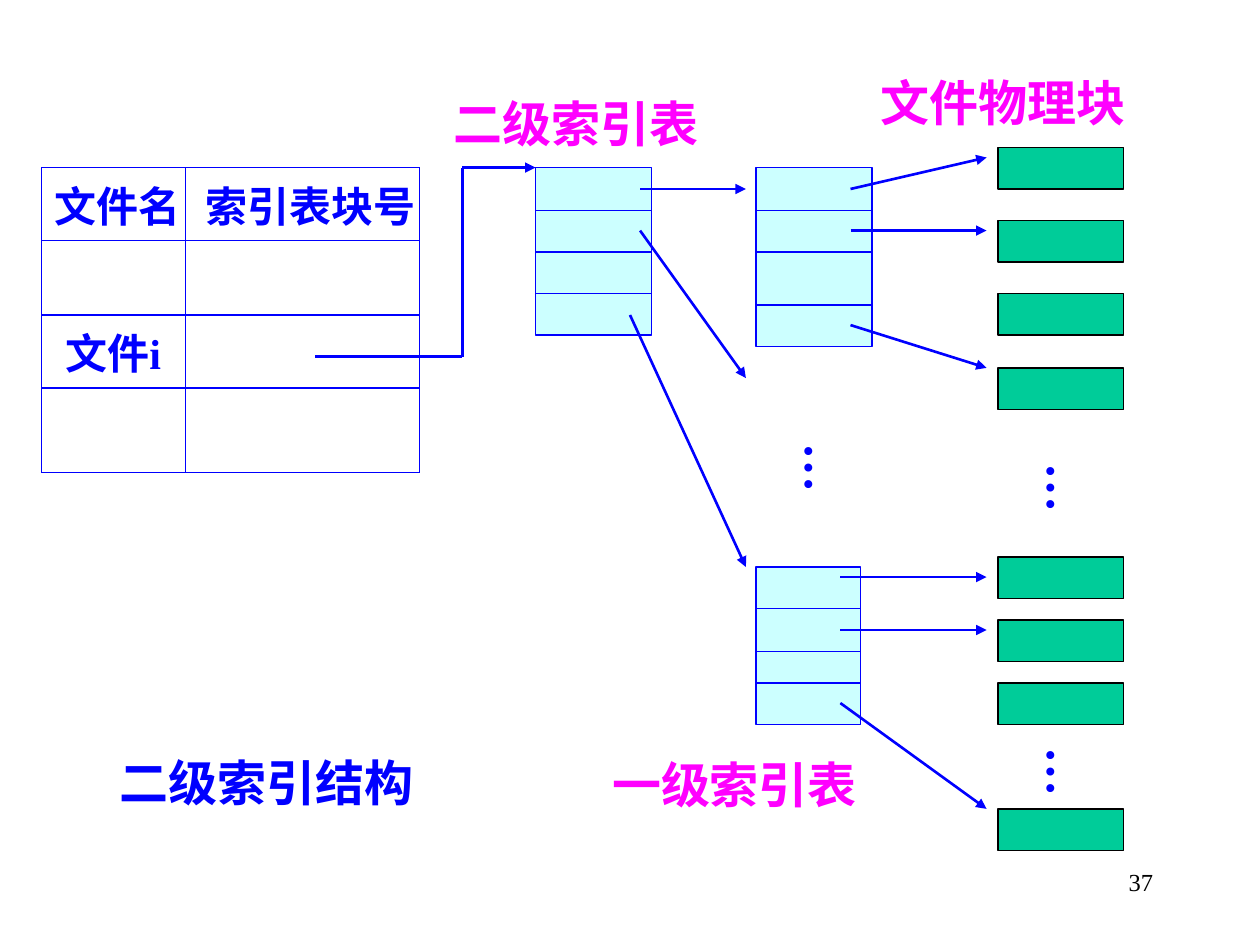
from dataclasses import dataclass

from lxml import etree
from pptx import Presentation
from pptx.dml.color import RGBColor
from pptx.enum.shapes import MSO_CONNECTOR as Conn, MSO_SHAPE as Shape
from pptx.enum.text import MSO_ANCHOR as Anchor, MSO_AUTO_SIZE as AutoSize, PP_ALIGN as Align
from pptx.oxml.ns import qn
from pptx.util import Inches, Pt


@dataclass(frozen=True)
class Theme:
    font: str = "Times New Roman"
    blue: str = "0000FF"
    pink: str = "FF00FF"
    black: str = "000000"
    white: str = "FFFFFF"
    index: str = "CCFFFF"
    block: str = "00CC99"
    heading: int = 28
    cell: int = 24
    number: int = 14
    thin: float = 0.75
    thick: float = 1.5


T = Theme()


def rgb(color):
    return RGBColor.from_string(color)


def format_text(tf, size, color, bold=True, align=Align.LEFT):
    for p in tf.paragraphs:
        p.alignment = align
        for r in p.runs:
            r.font.name = T.font
            r.font.size = Pt(size)
            r.font.bold = bold
            r.font.color.rgb = rgb(color)


def add_title(slide, text, x, y, w, h):
    sp = slide.shapes.title
    sp.left, sp.top, sp.width, sp.height = map(Inches, (x, y, w, h))
    tf = sp.text_frame
    tf.text = text
    tf.auto_size = AutoSize.NONE
    tf.vertical_anchor = Anchor.TOP
    tf.margin_left = Inches(0.2)
    format_text(tf, T.heading, T.blue)


def add_text(slide, text, x, y, w, h, size=T.heading, color=T.pink, **style):
    sp = slide.shapes.add_textbox(*map(Inches, (x, y, w, h)))
    tf = sp.text_frame
    tf.word_wrap = True
    tf.text = text
    format_text(tf, size, color, **style)
    return sp


def add_ellipsis(slide, x, y):
    sp = add_text(slide, "…", x, y, 0.66, 0.49, color=T.blue)
    tf = sp.text_frame
    tf.word_wrap = False
    tf.margin_left = tf.margin_right = Inches(0.05)
    tf.margin_top = tf.margin_bottom = Inches(0.1)
    sp.element.txBody.bodyPr.set("vert", "eaVert")


def add_box(slide, x, y, w, h, fill, line):
    sp = slide.shapes.add_shape(Shape.RECTANGLE, *map(Inches, (x, y, w, h)))
    sp.shadow.inherit = False
    sp.fill.solid()
    sp.fill.fore_color.rgb = rgb(fill)
    sp.line.color.rgb = rgb(line)
    sp.line.width = Pt(T.thin)


def add_line(slide, start, end, width=T.thick, arrow=False):
    cxn = slide.shapes.add_connector(Conn.STRAIGHT, *map(Inches, (*start, *end)))
    cxn.line.color.rgb = rgb(T.blue)
    cxn.line.width = Pt(width)
    if arrow:
        etree.SubElement(cxn.line._get_or_add_ln(), qn("a:tailEnd"), type="triangle")
    etree.SubElement(cxn.element.spPr, qn("a:effectLst"))


def add_index(slide, x, y, w, h, dividers):
    add_box(slide, x, y, w, h, T.index, T.blue)
    for line_y in dividers:
        add_line(slide, (x, line_y), (x + w, line_y), T.thin)


def format_cell(cell):
    tc_pr = cell._tc.get_or_add_tcPr()
    for side in ("lnL", "lnR", "lnT", "lnB"):
        ln = etree.SubElement(tc_pr, qn(f"a:{side}"), w=str(Pt(T.thin)))
        fill = etree.SubElement(ln, qn("a:solidFill"))
        etree.SubElement(fill, qn("a:srgbClr"), val=T.blue)
    cell.fill.solid()
    cell.fill.fore_color.rgb = rgb(T.white)
    cell.vertical_anchor = Anchor.MIDDLE
    cell.margin_right = 0


def add_directory(slide, x, y, widths, heights, entries):
    frame = slide.shapes.add_table(
        len(heights), len(widths), *map(Inches, (x, y, sum(widths), sum(heights))))
    table = frame.table
    table.first_row = table.horz_banding = False
    for column, width in zip(table.columns, widths):
        column.width = Inches(width)
    for row, height in zip(table.rows, heights):
        row.height = Inches(height)
    for cell in table.iter_cells():
        format_cell(cell)
    for (row, column), (text, margin) in entries.items():
        cell = table.cell(row, column)
        cell.margin_left = Inches(margin)
        cell.text = text
        format_text(cell.text_frame, T.cell, T.blue)


def main():
    prs = Presentation()
    prs.slide_width, prs.slide_height = Inches(10), Inches(7.5)
    slide = prs.slides.add_slide(prs.slide_layouts[5])

    add_title(slide, "二级索引结构", 0.75, 5.92, 2.99, 0.57)
    add_text(slide, "二级索引表", 3.5, 0.69, 2.4, 0.57)
    add_text(slide, "一级索引表", 4.76, 5.94, 2.56, 0.57)
    add_text(slide, "文件物理块", 6.89, 0.53, 2.51, 0.57)
    add_text(slide, "37", 7.17, 6.83, 2.08, 0.5, T.number, T.black,
             bold=False, align=Align.RIGHT)

    add_directory(slide, 0.33, 1.33, (1.14, 1.86), (0.58, 0.59, 0.58, 0.67), {
        (0, 0): ("文件名", 0.1),
        (0, 1): ("索引表块号", 0.16),
        (2, 0): ("文件i", 0.19),
    })
    add_index(slide, 4.25, 1.33, 0.92, 1.33, (1.67, 2, 2.33))
    add_index(slide, 6, 1.33, 0.92, 1.42, (1.67, 2, 2.42))
    add_index(slide, 6, 4.5, 0.83, 1.25, (4.83, 5.17, 5.42))
    for y in (1.17, 1.75, 2.33, 2.92, 4.42, 4.92, 5.42, 6.42):
        add_box(slide, 7.92, y, 1, 0.33, T.block, T.black)
    for x, y in ((6.17, 3.42), (8.09, 3.58), (8.09, 5.83)):
        add_ellipsis(slide, x, y)

    route = ((2.5, 2.83), (3.67, 2.83), (3.67, 1.33), (4.25, 1.33))
    for start, end in zip(route, route[1:]):
        add_line(slide, start, end, arrow=end == route[-1])
    pointers = (
        ((5.08, 1.5), (5.92, 1.5)),
        ((5.08, 1.83), (5.92, 3)),
        ((5, 2.5), (5.92, 4.5)),
        ((6.75, 1.5), (7.83, 1.25)),
        ((6.75, 1.83), (7.83, 1.83)),
        ((6.75, 2.58), (7.83, 2.92)),
        ((6.67, 4.58), (7.83, 4.58)),
        ((6.67, 5), (7.83, 5)),
        ((6.67, 5.58), (7.83, 6.42)),
    )
    for start, end in pointers:
        add_line(slide, start, end, arrow=True)

    prs.save("out.pptx")


if __name__ == "__main__":
    main()
